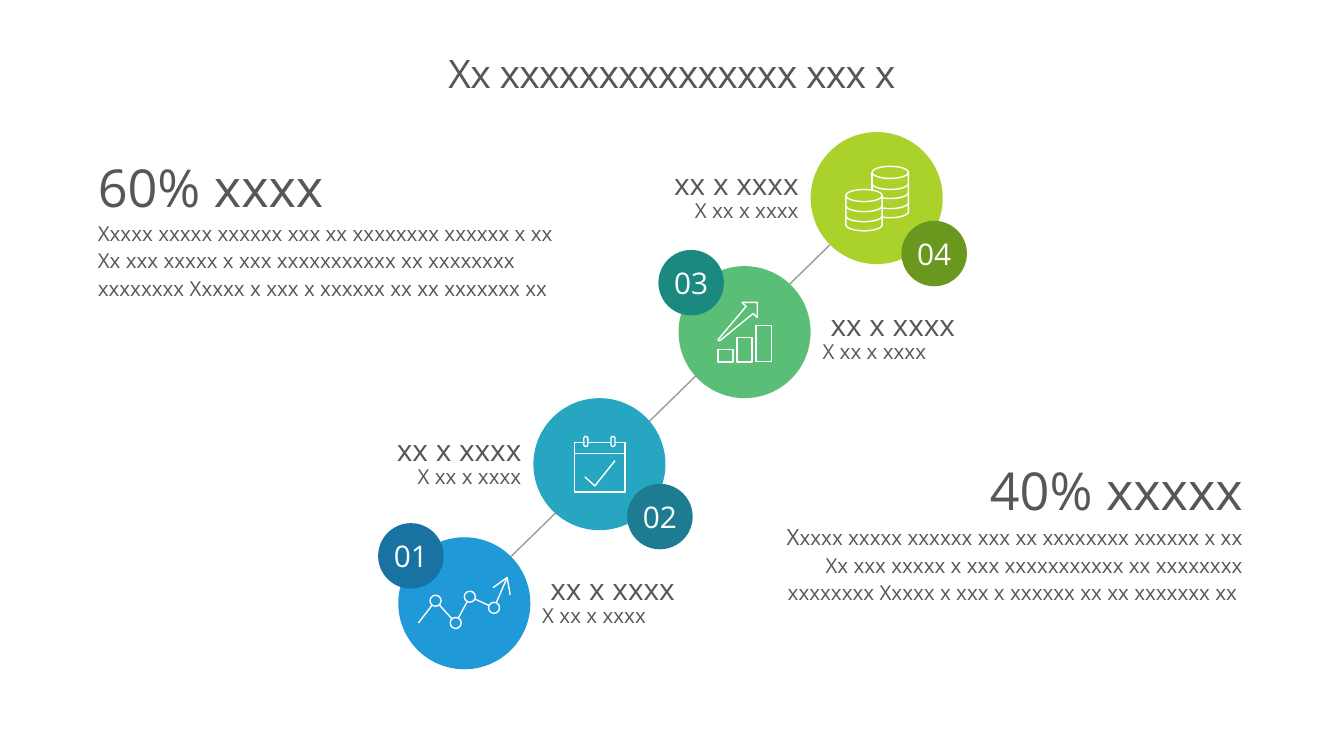
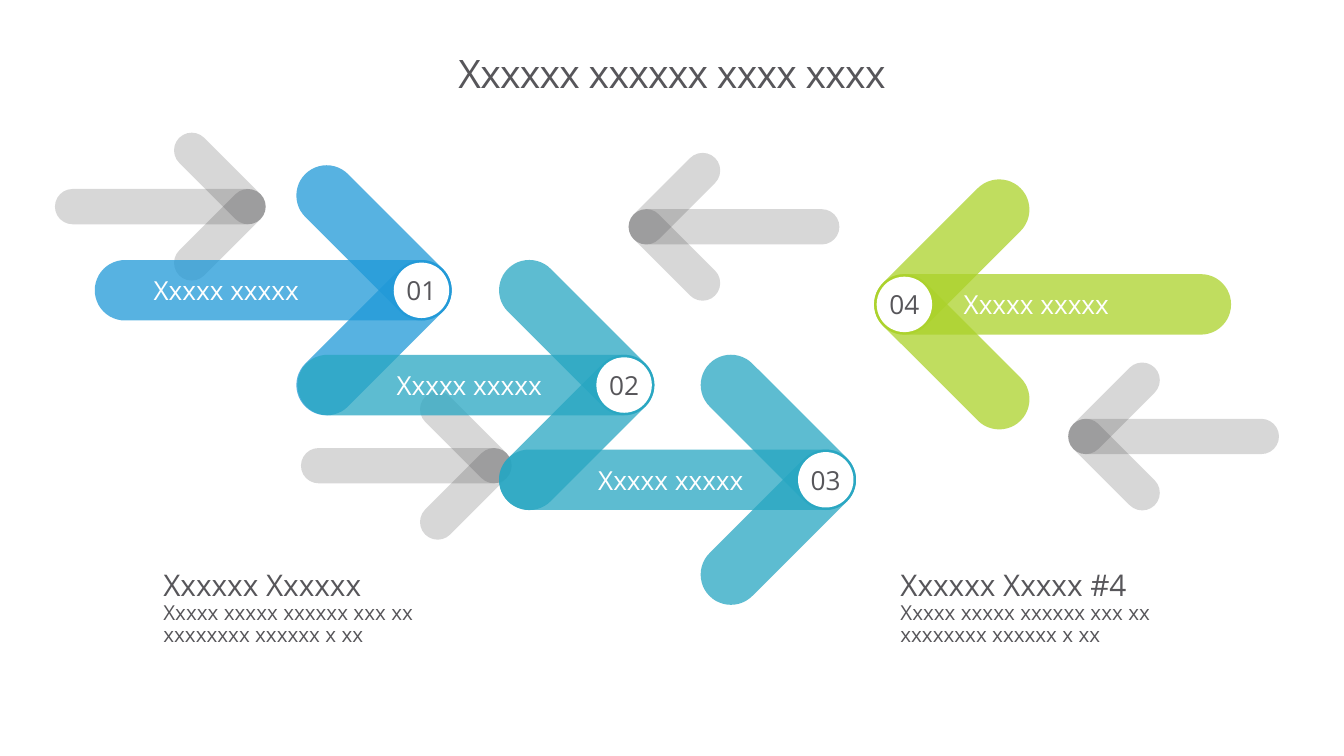
import math

from lxml import etree
from pptx import Presentation
from pptx.dml.color import RGBColor
from pptx.enum import shapes, text
from pptx.oxml import ns
from pptx.util import Inches, Pt

FONT = "Open Sans"
COLORS = {
    "ink": "57565A", "gray": "39383A", "white": "FFFFFF",
    "blue": "2099D8", "teal": "27A6C2", "green": "5BBE77", "lime": "ABD22A",
    "navy": "1873A2", "petrol": "1D7C92", "pine": "1C8980", "olive": "6A971E",
}
LEFT, CENTER, RIGHT = text.PP_ALIGN.LEFT, text.PP_ALIGN.CENTER, text.PP_ALIGN.RIGHT
OVAL = shapes.MSO_SHAPE.OVAL
CAPSULE = shapes.MSO_SHAPE.ROUNDED_RECTANGLE

STEP_TITLE = "Xx xxxxxxxxxxxxxxx xxx x"
STEP_LABEL = ("xx x xxxx", "X xx x xxxx")
DISC, BADGE = 1.31, 0.65
STEPS = [
    {"number": "01", "disc": (3.95, 5.33), "badge": (3.75, 5.19), "label": (5.28, 5.67),
     "align": LEFT, "color": "blue", "dark": "navy", "icon": "trend"},
    {"number": "02", "disc": (5.29, 3.95), "badge": (6.22, 4.8), "label": (3.03, 4.29),
     "align": RIGHT, "color": "teal", "dark": "petrol", "icon": "calendar"},
    {"number": "03", "disc": (6.73, 2.64), "badge": (6.53, 2.48), "label": (8.06, 3.05),
     "align": LEFT, "color": "green", "dark": "pine", "icon": "growth"},
    {"number": "04", "disc": (8.04, 1.31), "badge": (8.94, 2.19), "label": (5.78, 1.65),
     "align": RIGHT, "color": "lime", "dark": "olive", "icon": "coins"},
]
SUMMARIES = [
    ((0.97, 1.64, 4.7, 1.35), LEFT, "60% xxxx", [
        ("Xxxxx xxxxx xxxxxx xxx xx xxxxxxxx xxxxxx x xx Xx xxx xxxxx x xxx xxxxxxxxxxx xx "
         "xxxxxxxx xxxxxxxx Xxxxx x xxx x xxxxxx xx xx xxxxxxx xx", 14.7)]),
    ((7.63, 4.64, 4.7, 1.37), RIGHT, "40% xxxxx", [
        ("X", 16),
        ("xxxx xxxxx xxxxxx xxx xx xxxxxxxx xxxxxx x xx Xx xxx xxxxx x xxx xxxxxxxxxxx xx "
         "xxxxxxxx xxxxxxxx Xxxxx x xxx x xxxxxx xx xx xxxxxxx xx ", 14.7)]),
]

ARROW_TITLE = "Xxxxxx xxxxxx xxxx xxxx"
ARROW_TEXT = "Xxxxx xxxxx"
SMALL = {"shaft": 2.09, "wing": 1.14, "thick": 0.35}
LARGE = {"shaft": 3.54, "wing": 1.93, "thick": 0.6}
HUB = 0.55
GRAY_ARROWS = [((4.9, 4.62), 1), ((6.41, 2.25), -1), ((10.77, 4.33), -1), ((2.46, 2.05), 1)]
NUMBERED_ARROWS = [
    ("01", (4.18, 2.88), 1, "blue", 0, CENTER),
    ("02", (6.19, 3.82), 1, "teal", 0.8, CENTER),
    ("04", (8.97, 3.02), -1, "lime", 0.8, LEFT),
    ("03", (8.19, 4.76), 1, "teal", 0.8, CENTER),
]
CAPTION_TEXT = "Xxxxx xxxxx xxxxxx xxx xx xxxxxxxx xxxxxx x xx"
CAPTIONS = [(1.49, "Xxxxxx Xxxxxx"), (8.8, "Xxxxxx Xxxxx #4")]


def rgb(name):
    return RGBColor.from_string(COLORS[name])


def set_opacity(item, percent):
    color = next(item._element.spPr.iter(ns.qn("a:srgbClr")))
    etree.SubElement(color, ns.qn("a:alpha")).set("val", str(percent * 1000))


def add_shape(parent, kind, at, fill=None, line=None, opacity=None):
    shape = parent.shapes.add_shape(kind, *map(Inches, at))
    finish(shape, fill, line)
    if kind == CAPSULE:
        shape.adjustments[0] = 0.5
    if opacity:
        set_opacity(shape, opacity)
    return shape


def finish(shape, fill=None, line=None):
    shape.shadow.inherit = False
    if fill:
        shape.fill.solid()
        shape.fill.fore_color.rgb = rgb(fill)
    else:
        shape.fill.background()
    if line:
        shape.line.color.rgb = rgb(line)
        shape.line.width = Pt(1)
    else:
        shape.line.fill.background()


def add_line(parent, start, end, color="white"):
    line = parent.shapes.add_connector(
        shapes.MSO_CONNECTOR.STRAIGHT, *map(Inches, (*start, *end)))
    line.line.color.rgb = rgb(color)
    line.line.width = Pt(1)
    etree.SubElement(line._element.spPr, ns.qn("a:effectLst"))
    return line


def add_outline(parent, points, closed=False):
    spots = [(Inches(x), Inches(y)) for x, y in points]
    builder = parent.shapes.build_freeform(*spots[0])
    builder.add_line_segments(spots[1:], close=closed)
    finish(builder.convert_to_shape(), line="white")


def add_para(frame, first, runs, align=LEFT, spacing=None, color="ink", indent=0):
    para = frame.paragraphs[0] if first else frame.add_paragraph()
    para.alignment = align
    if spacing:
        para.line_spacing = spacing
    if indent:
        para._p.get_or_add_pPr().set("marL", str(Inches(indent)))
    for words, size in runs:
        span = para.add_run()
        span.text = words
        span.font.size = Pt(size)
        span.font.name = FONT
        span.font.color.rgb = rgb(color)
    return para


def set_margins(frame, left, top, right, bottom):
    frame.margin_left, frame.margin_top = Inches(left), Inches(top)
    frame.margin_right, frame.margin_bottom = Inches(right), Inches(bottom)


def add_box(page, at, margins=(0.1, 0.05, 0.1, 0.05), grow=True):
    frame = page.shapes.add_textbox(*map(Inches, at)).text_frame
    frame.word_wrap = True
    set_margins(frame, *margins)
    if grow:
        frame.auto_size = text.MSO_AUTO_SIZE.SHAPE_TO_FIT_TEXT
    return frame


def add_title(page, words):
    frame = add_box(page, (1, 0.31, 11.33, 0.89), (0, 0, 0, 0), grow=False)
    frame.vertical_anchor = text.MSO_ANCHOR.MIDDLE
    para = add_para(frame, True, [(words, 28)], CENTER, 0.86)
    para.runs[0]._r.get_or_add_rPr().set("spc", "-50")


def add_number(parent, at, number, size, fill, color):
    frame = add_shape(parent, OVAL, at, fill).text_frame
    frame.word_wrap = False
    frame.vertical_anchor = text.MSO_ANCHOR.MIDDLE
    add_para(frame, True, [(number, size)], CENTER, color=color)


def arc(x, y, start=0, end=180, steps=24):
    angles = [math.radians(start + (end - start) * i / steps) for i in range(steps + 1)]
    return [(x + 0.18 * math.cos(a), y + 0.06 * math.sin(a)) for a in angles]


def draw_trend(group):
    radius = 0.055
    nodes = [(4.32, 5.96), (4.52, 6.18), (4.66, 5.92), (4.9, 6.03)]
    route = [(4.15, 6.18), *nodes, (5.03, 5.73)]
    for start, end in zip(route, route[1:]):
        length = math.dist(start, end)
        dx, dy = ((b - a) / length * radius for a, b in zip(start, end))
        if start in nodes:
            start = (start[0] + dx, start[1] + dy)
        if end in nodes:
            end = (end[0] - dx, end[1] - dy)
        add_line(group, start, end)
    for x, y in nodes:
        add_shape(group, OVAL, (x - radius, y - radius, 2 * radius, 2 * radius), line="white")
    add_outline(group, [(5.06, 5.9), (5.03, 5.73), (4.89, 5.83)])


def draw_calendar(group):
    add_line(group, (5.84, 4.39), (6.06, 4.39))
    add_outline(group, [(6.1, 4.39), (6.2, 4.39), (6.2, 4.88), (5.7, 4.88),
                        (5.7, 4.39), (5.8, 4.39)])
    add_line(group, (5.7, 4.5), (6.2, 4.5))
    for x in (5.79, 6.06):
        add_shape(group, CAPSULE, (x, 4.33, 0.04, 0.1), line="white")
    add_outline(group, [(5.8, 4.73), (5.9, 4.82), (6.1, 4.57)])


def draw_growth(group):
    for x, top in ((7.12, 3.47), (7.31, 3.35), (7.5, 3.23)):
        add_shape(group, shapes.MSO_SHAPE.RECTANGLE, (x, top, 0.15, 3.59 - top), line="white")
    add_outline(group, [(7.51, 3), (7.36, 3), (7.4, 3.04), (7.13, 3.36), (7.12, 3.37),
                        (7.13, 3.38), (7.14, 3.38), (7.47, 3.11), (7.51, 3.15)], True)


def draw_coins(group):
    front, back, hidden = 8.57, 8.83, 116
    add_outline(group, arc(front, 1.94, 0, 360), True)
    add_outline(group, [(front + 0.18, 1.94), *arc(front, 2.23), (front - 0.18, 1.94)])
    for y in (2.04, 2.14):
        add_outline(group, arc(front, y))
    add_outline(group, arc(back, 1.71, 0, 360), True)
    add_line(group, (back - 0.18, 1.89), (back - 0.18, 1.71))
    add_outline(group, [(back + 0.18, 1.71), *arc(back, 2.1, 0, hidden)])
    for y, end in ((1.82, 180), (1.91, hidden), (2.01, hidden)):
        add_outline(group, arc(back, y, 0, end))


ICONS = {"trend": draw_trend, "calendar": draw_calendar,
         "growth": draw_growth, "coins": draw_coins}


def build_steps(page):
    add_title(page, STEP_TITLE)
    set_opacity(add_line(page, (5.07, 5.52), (8.23, 2.43), "gray"), 50)
    for step in STEPS:
        group = page.shapes.add_group_shape()
        add_shape(group, OVAL, (*step["disc"], DISC, DISC), step["color"])
        ICONS[step["icon"]](group)
    for step in STEPS:
        add_number(page, (*step["badge"], BADGE, BADGE), step["number"], 21.3,
                   step["dark"], "white")
        frame = add_box(page, (*step["label"], 2.24, 0.62))
        heading, detail = STEP_LABEL
        indent = 0.08 if step["align"] == LEFT else 0
        add_para(frame, True, [(heading, 21.3)], step["align"], 0.85, indent=indent)
        add_para(frame, False, [(detail, 14.7)], step["align"], 0.85)
    for at, align, heading, runs in SUMMARIES:
        frame = add_box(page, at, (0, 0, 0, 0))
        add_para(frame, True, [(heading, 37.3)], align, 0.85)
        add_para(frame, False, runs, align, 1.1)


def add_arrow(page, tip, direction, size, color, opacity):
    group = page.shapes.add_group_shape()
    x, y = tip
    shaft, wing, thick = size["shaft"], size["wing"], size["thick"]
    reach = (wing - thick) / 2 * math.sqrt(0.5)
    for side in (-1, 1):
        at = (x - direction * reach - wing / 2, y + side * reach - thick / 2, wing, thick)
        arm = add_shape(group, CAPSULE, at, color, opacity=opacity)
        arm.rotation = (-45 * side * direction) % 360
    left = x - direction * (shaft - thick) / 2 - shaft / 2
    bar = add_shape(group, CAPSULE, (left, y - thick / 2, shaft, thick), color, opacity=opacity)
    return group, bar


def build_arrows(page):
    for tip, direction in GRAY_ARROWS:
        add_arrow(page, tip, direction, SMALL, "gray", 20)
    add_title(page, ARROW_TITLE)
    for number, tip, direction, color, margin, align in NUMBERED_ARROWS:
        group, bar = add_arrow(page, tip, direction, LARGE, color, 75)
        frame = bar.text_frame
        frame.word_wrap = True
        frame.vertical_anchor = text.MSO_ANCHOR.MIDDLE
        set_margins(frame, margin, 0, 0.93, 0)
        add_para(frame, True, [(ARROW_TEXT, 18.7)], align, color="white")
        at = (tip[0] - HUB / 2, tip[1] - HUB / 2, HUB, HUB)
        add_number(group, at, number, 18.7, "white", "ink")
    for left, heading in CAPTIONS:
        frame = add_box(page, (left, 5.62, 3.35, 0.88), (0.13, 0.05, 0.13, 0.07))
        add_para(frame, True, [(heading, 21.3)], spacing=0.89)
        add_para(frame, False, [(CAPTION_TEXT, 14.7)], spacing=0.89)


def main():
    deck = Presentation()
    deck.slide_width, deck.slide_height = Inches(13.33), Inches(7.5)
    for build in (build_steps, build_arrows):
        build(deck.slides.add_slide(deck.slide_layouts[6]))
    deck.save("out.pptx")


if __name__ == "__main__":
    main()
